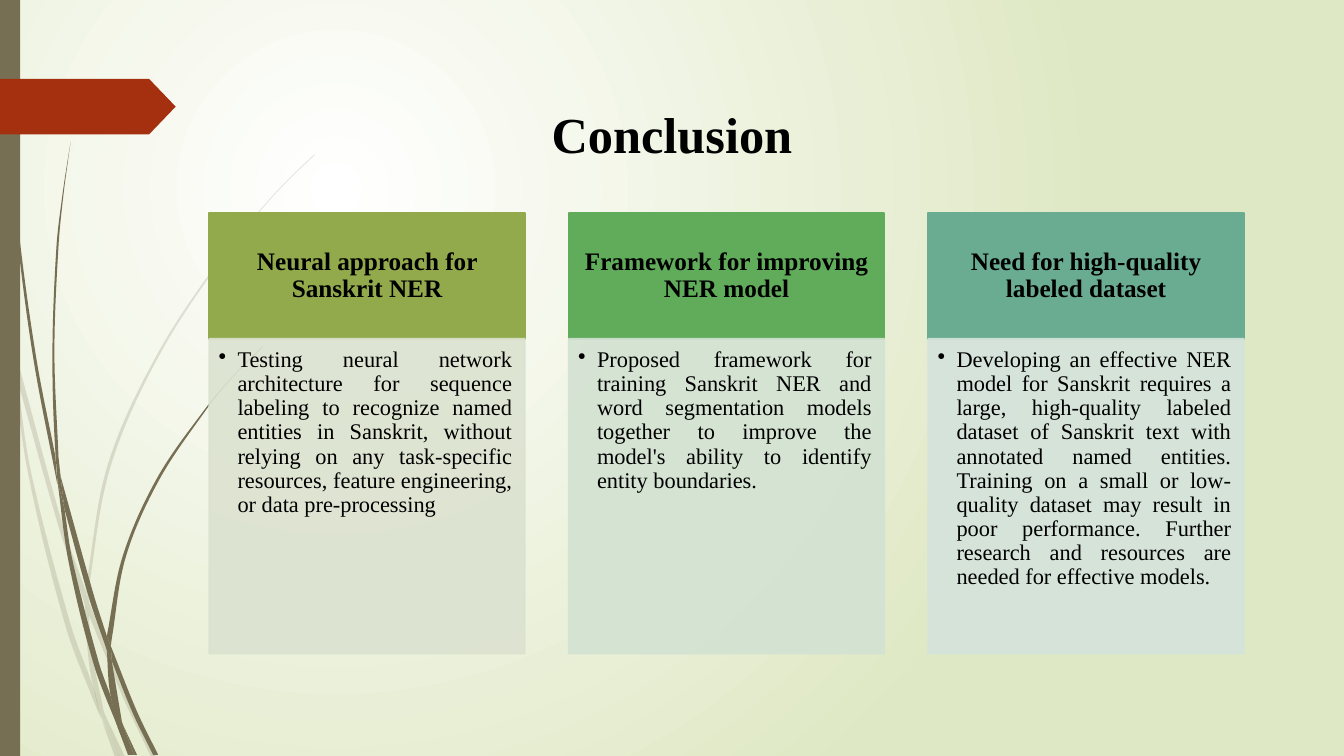
from pptx import Presentation
from pptx.dml.color import RGBColor
from pptx.enum.shapes import MSO_SHAPE as Shape
from pptx.enum.text import MSO_ANCHOR as Anchor, PP_ALIGN as Align
from pptx.oxml import parse_xml
from pptx.oxml.ns import nsdecls
from pptx.util import Pt
from lxml.etree import SubElement

# Content
TITLE = "Conclusion"
CARDS = [
    ("Neural approach for Sanskrit NER", "92AA4C", "DCE2D0",
     "Testing neural network architecture for sequence labeling to recognize "
     "named entities in Sanskrit, without relying on any task-specific "
     "resources, feature engineering, or data pre-processing"),
    ("Framework for improving NER model", "60AC5A", "D3E2D2",
     "Proposed framework for training Sanskrit NER and word segmentation "
     "models together to improve the model's ability to identify entity "
     "boundaries."),
    ("Need for high-quality labeled dataset", "6AAC91", "D4E3DC",
     "Developing an effective NER model for Sanskrit requires a large, "
     "high-quality labeled dataset of Sanskrit text with annotated named "
     "entities. Training on a small or low-quality dataset may result in poor "
     "performance. Further research and resources are needed for effective "
     "models."),
]
BROWN, RED, BLACK = "766F54", "A53010", "000000"
FONT = "Times New Roman"

# Grass pieces on a 0.72 pt grid: one edge, then the other edge back
UNIT = Pt(0.72)
FAINT = [
    ([(11, 350), (9, 322), (0, 282)], [(0, 299), (10, 344)]),
    ([(17, 376), (58, 522), (84, 599)], [(85, 586), (62, 520), (14, 345)]),
    ([(88, 610), (123, 694), (150, 751)],
     [(155, 751), (127, 692), (92, 607), (88, 596)]),
    ([(105, 711), (119, 751)], [(124, 751)]),
    ([(11, 350), (28, 470), (65, 621), (92, 693), (101, 714)],
     [(99, 707), (93, 683), (70, 619), (31, 469), (17, 376)]),
    ([(84, 599), (87, 646), (93, 683), (105, 711)],
     [(103, 706), (91, 646), (88, 608)]),
    ([(312, 153), (289, 175), (268, 197), (228, 244), (158, 348), (107, 461),
      (85, 584)],
     [(88, 596), (88, 584), (110, 462), (160, 349), (229, 245), (268, 198),
      (290, 175), (312, 154)]),
    ([(101, 714), (114, 751)], [(119, 751)]),
    ([(84, 599), (88, 608)], [(88, 596), (85, 586)]),
    ([(93, 683), (99, 707), (119, 751)], [(105, 711), (96, 692)]),
]
SOLID = [
    ([(3, 0), (7, 110), (17, 233), (33, 355), (57, 481)],
     [(55, 453), (36, 355), (19, 232), (8, 109), (4, 0)]),
    ([(64, 505), (88, 592), (106, 645)], [(106, 631), (93, 590), (60, 472)]),
    ([(111, 656), (132, 708), (152, 749)], [(157, 749), (136, 706), (110, 641)]),
    ([(57, 477), (68, 557), (93, 659), (117, 722)],
     [(110, 691), (98, 657), (72, 556), (64, 505)]),
    ([(70, 141), (62, 193), (56, 245), (52, 349), (55, 449), (60, 472)],
     [(58, 453), (54, 349), (58, 245), (63, 193), (70, 141)]),
    ([(122, 719), (133, 749)], [(136, 749)]),
    ([(55, 449), (57, 477)], [(64, 505), (60, 472)]),
    ([(260, 344), (231, 373), (204, 405), (156, 474), (122, 551), (106, 631)],
     [(110, 641), (111, 633), (125, 552), (158, 476), (205, 406), (231, 374),
      (261, 344)]),
    ([(117, 722), (127, 749)], [(131, 749)]),
    ([(106, 645), (110, 691), (122, 719)], [(121, 716), (111, 656)]),
    ([(106, 631), (106, 645)], [(111, 656), (110, 641)]),
    ([(110, 691), (117, 722), (130, 749)], [(133, 749), (122, 719)]),
]

# Card grid
LEFT, TOP, STEP, WIDE = 149.5, 152, 256.8, 225.4
HEAD, BODY = 90, 224.8


def color(text):
    return RGBColor.from_string(text)


def paint(shape, fill, alpha=100, line=None):
    shape.shadow.inherit = False
    shape.fill.solid()
    shape.fill.fore_color.rgb = color(fill)
    if line:
        shape.line.color.rgb = color(line)
        shape.line.width = Pt(1.25)
    else:
        shape.line.fill.background()
    if alpha < 100:
        props = shape._element.spPr
        for tint in list(props.iter("{*}srgbClr")):
            SubElement(tint, tint.tag.replace("srgbClr", "alpha"),
                       val=str(alpha * 1000))


def write(shape, text, size=16, bold=False, align=Align.CENTER,
          anchor=Anchor.MIDDLE, inset=(10, 6, 10, 6), space=0.9, bullet=None):
    frame = shape.text_frame
    frame.word_wrap = True
    frame.vertical_anchor = anchor
    (frame.margin_left, frame.margin_top,
     frame.margin_right, frame.margin_bottom) = map(Pt, inset)
    para = frame.paragraphs[0]
    para.alignment = align
    para.line_spacing = space
    if bullet:
        props = para._p.get_or_add_pPr()
        props.set("marL", str(Pt(13.5)))
        props.set("indent", str(-Pt(13.5)))
        props.append(parse_xml(f'<a:buChar {nsdecls("a")} char="{bullet}"/>'))
    run = para.add_run()
    run.text = text
    font = run.font
    font.name, font.size, font.bold = FONT, Pt(size), bold
    font.color.rgb = color(BLACK)


def block(slide, kind, left, top, wide, high):
    return slide.shapes.add_shape(kind, Pt(left), Pt(top), Pt(wide), Pt(high))


def bends(edge):
    """Two curve handles for each step along an edge."""
    ends = [complex(*p) for p in (edge[0], *edge, edge[-1])]
    for a, b, c, d in zip(ends, ends[1:], ends[2:], ends[3:]):
        reach = abs(c - b) / 3
        yield (b + (c - a) / abs(c - a) * reach,
               c - (d - b) / abs(d - b) * reach)


def blade(slide, edges, alpha):
    knots = edges[0] + edges[1]
    pen = slide.shapes.build_freeform(
        *(10 * v for v in knots[0]), scale=UNIT / 10)
    pen.add_line_segments([(10 * x, 10 * y) for x, y in knots[1:]], close=True)
    shape = pen.convert_to_shape()
    zero = complex(min(x for x, y in knots), min(y for x, y in knots))

    # Turn the straight steps along both edges into curves
    lines = list(shape._element.spPr.iter("{*}lnTo"))
    steps = [*bends(edges[0]), None, *bends(edges[1])]
    for line, pair in zip(lines, steps):
        if pair:
            curve = parse_xml(f'<a:cubicBezTo {nsdecls("a")}/>')
            for spot in pair:
                at = 10 * (spot - zero)
                SubElement(curve, line[0].tag,
                           x=str(round(at.real)), y=str(round(at.imag)))
            curve.append(line[0])
            line.getparent().replace(line, curve)
    paint(shape, BROWN, alpha)


def main():
    deck = Presentation()
    deck.slide_width, deck.slide_height = Pt(960), Pt(540)
    slide = deck.slides.add_slide(deck.slide_layouts[5])

    # Background glow
    slide.background.fill.solid()
    back = slide._element.cSld.find("{*}bg/{*}bgPr")
    back.replace(back[0], parse_xml(
        f'<a:gradFill {nsdecls("a")} rotWithShape="1"><a:gsLst>'
        '<a:gs pos="0"><a:srgbClr val="FFFFFF"/></a:gs>'
        '<a:gs pos="100000"><a:srgbClr val="DFE8C4"/></a:gs></a:gsLst>'
        '<a:path path="circle"><a:fillToRect l="50000" t="50000" '
        'r="100000" b="100000"/></a:path></a:gradFill>'))

    # Grass
    for alpha, group in ((20, FAINT), (100, SOLID)):
        for edges in group:
            blade(slide, edges, alpha)

    # Side bar and red tag
    paint(block(slide, Shape.RECTANGLE, 0, 0, 14.4, 540), BROWN)
    tag = block(slide, Shape.PENTAGON, 0, 56.3, 125.5, 39.8)
    tag.adjustments[0] = 0.48
    paint(tag, RED)

    # Title
    title = slide.shapes.title
    title.left, title.top = Pt(311), Pt(69.5)
    title.width, title.height = Pt(338), Pt(51)
    write(title, TITLE, size=36, bold=True, inset=(7.2, 3.6, 7.2, 3.6), space=1)

    # Cards
    for i, (name, dark, pale, text) in enumerate(CARDS):
        x = LEFT + i * STEP
        head = block(slide, Shape.RECTANGLE, x, TOP, WIDE, HEAD)
        paint(head, dark, line=dark)
        write(head, name, size=18, bold=True)
        body = block(slide, Shape.RECTANGLE, x, TOP + HEAD, WIDE, BODY)
        paint(body, pale, 90, line=pale)
        write(body, text, align=Align.JUSTIFY, anchor=Anchor.TOP,
              inset=(6.7, 6.7, 9, 10), bullet="•")

    deck.save("out.pptx")


if __name__ == "__main__":
    main()
